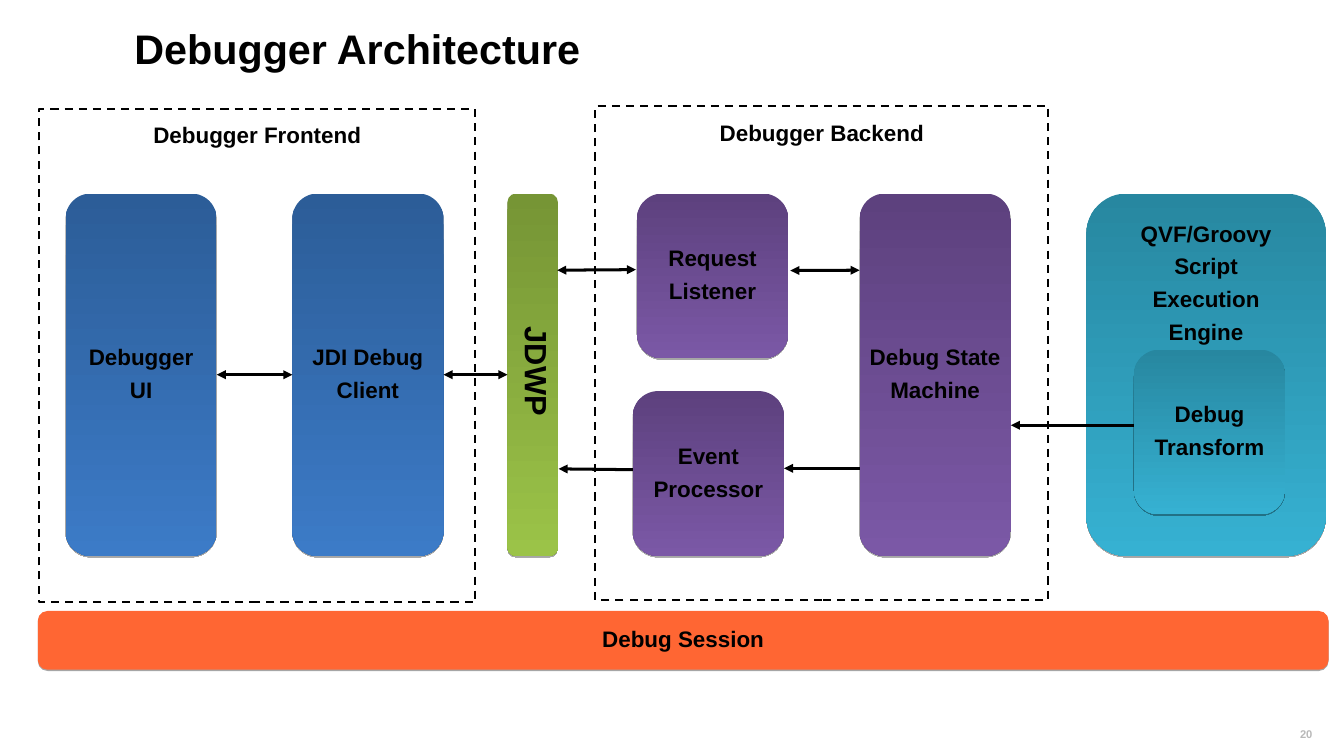
from dataclasses import dataclass

from pptx import Presentation
from pptx.dml.color import RGBColor
from pptx.enum import dml, shapes, text
from pptx.oxml.ns import qn
from pptx.util import Pt
from lxml import etree

COLOURS = {"ink": "000000", "number": "B8B8B8"}
FILLS = {
    "blue": ("2C5D98", "3C7BC7"),
    "green": ("769535", "9BC348"),
    "purple": ("5D417E", "7B58A6"),
    "teal": ("2787A0", "36B1D2"),
    "orange": ("FF6633",),
}
FONT = "Arial"
TOP, TALL, SHORT, WIDE = 276.5, 517.7, 235.5, 216
FRAME_H = 705
MIDDLE = TOP + TALL / 2


@dataclass
class Box:
    label: str
    x: float
    y: float
    w: float
    h: float
    fill: str = ""  # no fill name: a dashed frame
    top_inset: float = 0  # zero: label in the middle


@dataclass
class Arrow:
    """Head at (x1, y1), and at the other end too when both is set."""
    x1: float
    y1: float
    x2: float
    y2: float
    both: bool = False


BACKEND = Box("Debugger Backend", 850.3, 151.9, 647.5, FRAME_H, top_inset=22)
FRONTEND = Box("Debugger Frontend", 56.2, 155.5, 622.8, FRAME_H, top_inset=22)
BOXES = [
    Box("", 725, TOP, 72, TALL, "green"),
    Box("Request\nListener", 910, TOP, WIDE, SHORT, "purple"),
    Box("Event\nProcessor", 904, TOP + TALL - SHORT, WIDE, SHORT, "purple"),
    Box("Debug State\nMachine", 1228, TOP, WIDE, TALL, "purple"),
    Box("QVF/Groovy\nScript\nExecution\nEngine", 1552, TOP, 342, TALL, "teal", 25),
    Box("JDI Debug\nClient", 417.6, TOP, WIDE, TALL, "blue"),
    Box("Debugger\nUI", 93.6, TOP, WIDE, TALL, "blue"),
    Box("Debug\nTransform", 1620, 499.5, WIDE, SHORT, "teal"),
    Box("Debug Session", 54, 872.8, 1844, 84, "orange"),
]
ARROWS = [
    Arrow(1129, 386.5, 1228, 386, True),
    Arrow(1120, 669, 1228, 669),
    Arrow(1444, 607.5, 1620, 607.5),
    Arrow(798, 669.8, 904, 671),
    Arrow(309.6, MIDDLE, 417.6, MIDDLE, True),
    Arrow(633.6, MIDDLE, 725, MIDDLE, True),
    Arrow(796, 386, 908.5, 385.2, True),
]


def rgb(name: str) -> RGBColor:
    return RGBColor.from_string(COLOURS.get(name, name))


def write(sp, label: str, size: float, colour: str = "ink",
          align=text.PP_ALIGN.CENTER, before: float = 12.4) -> None:
    tf = sp.text_frame
    tf.text = label
    tf.word_wrap = False
    for p in tf.paragraphs:
        p.alignment, p.line_spacing, p.space_before = align, 0.9, Pt(before)
        for r in p.runs:
            r.font.name, r.font.size, r.font.bold = FONT, Pt(size), True
            r.font.color.rgb = rgb(colour)


def add_shadow(sp) -> None:
    effects = sp._element.spPr.find(qn("a:effectLst"))
    shadow = etree.SubElement(effects, qn("a:outerShdw"), blurRad="0",
                              dist=str(Pt(1.8)), dir="5400000", rotWithShape="0")
    colour = etree.SubElement(shadow, qn("a:srgbClr"), val=COLOURS["ink"])
    etree.SubElement(colour, qn("a:alpha"), val="35000")


def paint(sp, fill_name: str) -> None:
    """Fill with one colour, or with two from top to bottom."""
    colours = FILLS[fill_name]
    if len(colours) == 1:
        sp.fill.solid()
        sp.fill.fore_color.rgb = rgb(colours[0])
        return
    sp.fill.gradient()
    sp.fill.gradient_angle = 270
    for stop, colour in zip(sp.fill.gradient_stops, colours):
        stop.color.rgb = rgb(colour)


def add_box(s, box: Box) -> None:
    kind = shapes.MSO_SHAPE.ROUNDED_RECTANGLE if box.fill else shapes.MSO_SHAPE.RECTANGLE
    sp = s.shapes.add_shape(kind, Pt(box.x), Pt(box.y), Pt(box.w), Pt(box.h))
    sp.shadow.inherit = False
    if box.fill:
        paint(sp, box.fill)
        sp.line.fill.background()
        add_shadow(sp)
    else:
        sp.fill.background()
        sp.line.color.rgb = rgb("ink")
        sp.line.width = Pt(2.89)
        sp.line.dash_style = dml.MSO_LINE.DASH
    if box.label:
        tf = sp.text_frame
        tf.vertical_anchor = text.MSO_ANCHOR.TOP if box.top_inset else text.MSO_ANCHOR.MIDDLE
        tf.margin_top, tf.margin_bottom = Pt(box.top_inset or 5), Pt(5)
        write(sp, box.label, 32)


def add_arrow(s, arrow: Arrow) -> None:
    line = s.shapes.add_connector(shapes.MSO_CONNECTOR.STRAIGHT, Pt(arrow.x1),
                                  Pt(arrow.y1), Pt(arrow.x2), Pt(arrow.y2))
    line.line.color.rgb = rgb("ink")
    line.line.width = Pt(4.31)
    ends = ("a:headEnd", "a:tailEnd") if arrow.both else ("a:headEnd",)
    for end in ends:
        etree.SubElement(line.line._get_or_add_ln(), qn(end), type="triangle")
    etree.SubElement(line._element.spPr, qn("a:effectLst"))


def add_title(s, label: str) -> None:
    title = s.shapes.title
    title.left, title.top, title.width, title.height = Pt(192), Pt(33), Pt(1536), Pt(71)
    write(title, label, 59, align=text.PP_ALIGN.LEFT, before=0)
    tf = title.text_frame
    tf.word_wrap = True
    tf.auto_size = text.MSO_AUTO_SIZE.NONE
    tf.vertical_anchor = text.MSO_ANCHOR.MIDDLE
    tf.margin_left = tf.margin_right = tf.margin_top = tf.margin_bottom = 0
    tf.paragraphs[0].line_spacing = 1.0


def add_protocol_label(s) -> None:
    sp = s.shapes.add_textbox(Pt(728), Pt(458), Pt(65), Pt(154))
    write(sp, "JDWP", 44)
    tf = sp.text_frame
    tf.margin_left = tf.margin_right = Pt(5)
    tf.margin_top = tf.margin_bottom = Pt(8.6)
    tf._txBody.bodyPr.set("vert", "eaVert")


def add_page_number(s) -> None:
    sp = s.shapes.add_textbox(Pt(1738), Pt(1038), Pt(144), Pt(24.5))
    write(sp, "20", 16, "number", text.PP_ALIGN.RIGHT, 10)
    sp.text_frame.word_wrap = True


def main() -> None:
    prs = Presentation()
    prs.slide_width, prs.slide_height = Pt(1920), Pt(1080)
    s = prs.slides.add_slide(prs.slide_layouts[5])
    add_page_number(s)
    add_title(s, "Debugger Architecture")
    for box in (BACKEND, *BOXES, FRONTEND):
        add_box(s, box)
    for arrow in ARROWS:
        add_arrow(s, arrow)
    add_protocol_label(s)
    prs.save("out.pptx")


if __name__ == "__main__":
    main()
